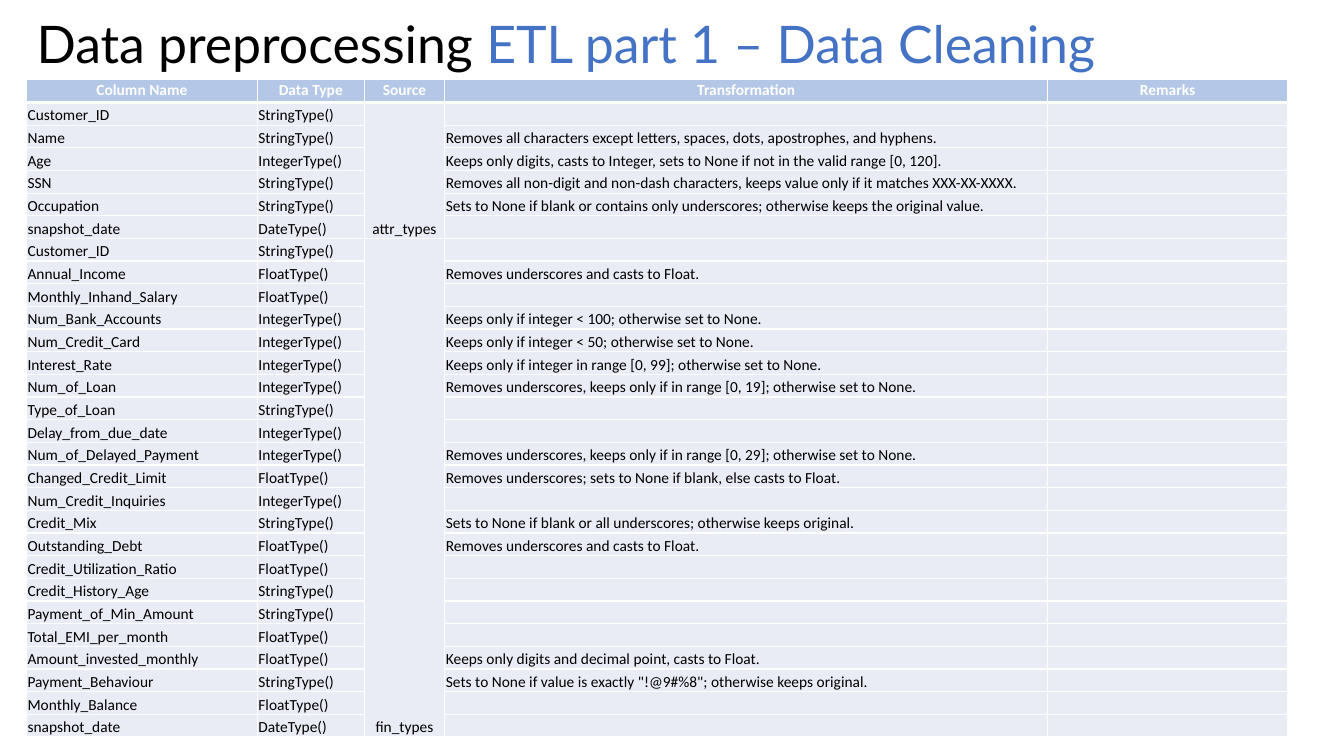
from dataclasses import dataclass

from lxml import etree
from pptx import Presentation
from pptx import util as u
from pptx.dml.color import RGBColor
from pptx.enum import text
from pptx.oxml import ns


@dataclass(frozen=True)
class Theme:
    dark: str = "000000"
    light: str = "FFFFFF"
    blue: str = "4472C4"
    head: str = "B4C7E7"
    body: str = "E9EBF5"
    title_font: str = "Lato"
    cell_font: str = "Calibri"
    title_size: int = 37
    cell_size: int = 11
    thin: int = 1
    thick: int = 3
    inset: float = 0.72


# Table content: name, type, transformation, grouped by source
HEADS = ["Column Name", "Data Type", "Source", "Transformation", "Remarks"]
WIDTHS = [164.9, 76.3, 57.6, 430.6, 171.4]
GROUPS = {
    "attr_types": [
        ("Customer_ID", "String", ""),
        ("Name", "String", "Removes all characters except letters, spaces, dots, apostrophes, and hyphens."),
        ("Age", "Integer", "Keeps only digits, casts to Integer, sets to None if not in the valid range [0, 120]."),
        ("SSN", "String",
         "Removes all non-digit and non-dash characters, keeps value only if it matches XXX-XX-XXXX."),
        ("Occupation", "String",
         "Sets to None if blank or contains only underscores; otherwise keeps the original value."),
        ("snapshot_date", "Date", ""),
    ],
    "fin_types": [
        ("Customer_ID", "String", ""),
        ("Annual_Income", "Float", "Removes underscores and casts to Float."),
        ("Monthly_Inhand_Salary", "Float", ""),
        ("Num_Bank_Accounts", "Integer", "Keeps only if integer < 100; otherwise set to None."),
        ("Num_Credit_Card", "Integer", "Keeps only if integer < 50; otherwise set to None."),
        ("Interest_Rate", "Integer", "Keeps only if integer in range [0, 99]; otherwise set to None."),
        ("Num_of_Loan", "Integer", "Removes underscores, keeps only if in range [0, 19]; otherwise set to None."),
        ("Type_of_Loan", "String", ""),
        ("Delay_from_due_date", "Integer", ""),
        ("Num_of_Delayed_Payment", "Integer",
         "Removes underscores, keeps only if in range [0, 29]; otherwise set to None."),
        ("Changed_Credit_Limit", "Float", "Removes underscores; sets to None if blank, else casts to Float."),
        ("Num_Credit_Inquiries", "Integer", ""),
        ("Credit_Mix", "String", "Sets to None if blank or all underscores; otherwise keeps original."),
        ("Outstanding_Debt", "Float", "Removes underscores and casts to Float."),
        ("Credit_Utilization_Ratio", "Float", ""),
        ("Credit_History_Age", "String", ""),
        ("Payment_of_Min_Amount", "String", ""),
        ("Total_EMI_per_month", "Float", ""),
        ("Amount_invested_monthly", "Float", "Keeps only digits and decimal point, casts to Float."),
        ("Payment_Behaviour", "String", "Sets to None if value is exactly \"!@9#%8\"; otherwise keeps original."),
        ("Monthly_Balance", "Float", ""),
        ("snapshot_date", "Date", ""),
    ],
}


class Deck:
    def __init__(self, theme):
        self.theme = theme
        self.prs = Presentation()
        self.prs.slide_width, self.prs.slide_height = u.Pt(960), u.Pt(540)
        self.slide = self.prs.slides.add_slide(self.prs.slide_layouts[5])

    def run(self, para, words, font, size, color, bold=False):
        run = para.add_run()
        run.text = words
        run.font.name, run.font.size, run.font.bold = font, u.Pt(size), bold
        run.font.color.rgb = RGBColor.from_string(color)

    def title(self, box, parts):
        shape = self.slide.shapes.title
        shape.left, shape.top, shape.width, shape.height = map(u.Pt, box)
        frame = shape.text_frame
        frame.word_wrap = True
        frame.auto_size = text.MSO_AUTO_SIZE.NONE
        frame.vertical_anchor = text.MSO_ANCHOR.TOP
        para = frame.paragraphs[0]
        para.alignment = text.PP_ALIGN.LEFT
        para.line_spacing, para.space_before = 1.0, u.Pt(0)
        for words, color in parts:
            self.run(para, words, self.theme.title_font, self.theme.title_size, color)

    def border(self, cell, side, width):
        props = cell._tc.get_or_add_tcPr()
        line = etree.SubElement(props, ns.qn(f"a:ln{side}"), w=str(u.Pt(width)))
        fill = etree.SubElement(line, ns.qn("a:solidFill"))
        etree.SubElement(fill, ns.qn("a:srgbClr"), val=self.theme.light)

    def cell(self, cell, words, head=False, center=False):
        theme = self.theme
        for side in "LRTB":
            self.border(cell, side, theme.thick if head and side == "B" else theme.thin)
        cell.fill.solid()
        cell.fill.fore_color.rgb = RGBColor.from_string(theme.head if head else theme.body)
        cell.margin_left = cell.margin_right = cell.margin_top = u.Pt(theme.inset)
        cell.margin_bottom = u.Pt(0)
        cell.vertical_anchor = text.MSO_ANCHOR.TOP if head else text.MSO_ANCHOR.BOTTOM
        para = cell.text_frame.paragraphs[0]
        para.alignment = text.PP_ALIGN.CENTER if head or center else text.PP_ALIGN.LEFT
        if words:
            self.run(para, words, theme.cell_font, theme.cell_size,
                     theme.light if head else theme.dark, head)
        # The end mark keeps empty rows at their set height
        etree.SubElement(para._p, ns.qn("a:endParaRPr"), sz=str(theme.cell_size * 100))

    def table(self, left, top, pitch):
        count = 1 + sum(map(len, GROUPS.values()))
        grid = self.slide.shapes.add_table(
            count, len(HEADS), u.Pt(left), u.Pt(top), u.Pt(sum(WIDTHS)), u.Pt(pitch * count)).table
        grid.horz_banding = False
        for col, width in zip(grid.columns, WIDTHS):
            col.width = u.Pt(width)
        for row in grid.rows:
            row.height = u.Pt(pitch)
        for col, words in enumerate(HEADS):
            self.cell(grid.cell(0, col), words, head=True)
        # Body rows, with one merged source cell for each group
        first = 1
        for source, rows in GROUPS.items():
            for step, (name, kind, change) in enumerate(rows):
                label = "" if step else source
                for col, words in enumerate([name, f"{kind}Type()", label, change, ""]):
                    self.cell(grid.cell(first + step, col), words, center=col == 2)
            last = first + len(rows) - 1
            grid.cell(first, 2).merge(grid.cell(last, 2))
            first = last + 1


def main():
    theme = Theme()
    deck = Deck(theme)
    # Title, wide enough for a single line
    deck.title((19, 5, sum(WIDTHS), 52),
               [("Data preprocessing ", theme.dark), ("ETL part 1 – Data Cleaning", theme.blue)])
    # Column list
    deck.table(left=19, top=57, pitch=16.2)
    deck.prs.save("out.pptx")


if __name__ == "__main__":
    main()
